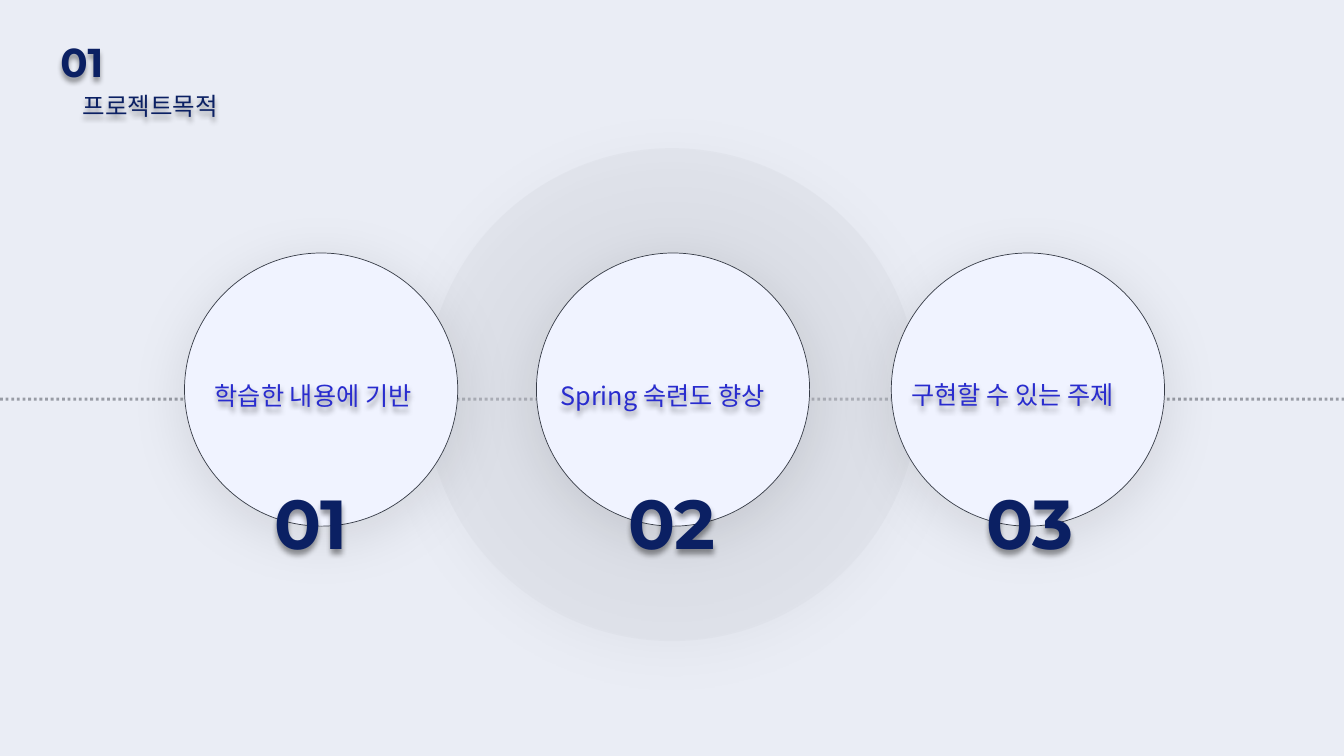
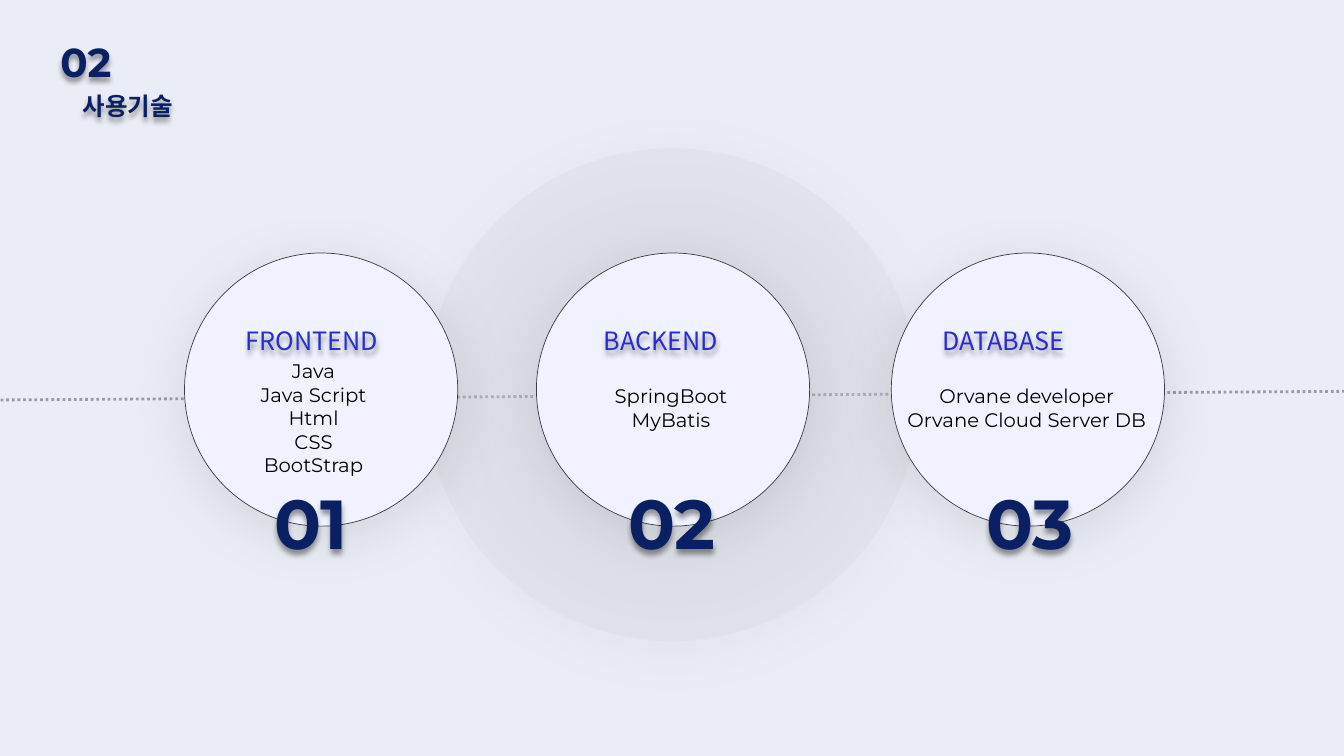
from dataclasses import dataclass
from lxml.etree import SubElement
from pptx import Presentation
from pptx.dml.color import RGBColor
from pptx.enum.dml import MSO_LINE
from pptx.enum.shapes import MSO_CONNECTOR, MSO_SHAPE
from pptx.enum.text import MSO_ANCHOR, MSO_AUTO_SIZE, PP_ALIGN
from pptx.oxml.ns import qn
from pptx.util import Pt


@dataclass(frozen=True)
class Theme:
    background: str = "EAEDF5"
    halo: str = "D8DBE3"
    circle: str = "F0F3FF"
    line: str = "383D48"
    navy: str = "0B2063"
    label: str = "292CCE"
    label_outline: str = "1A59E0"
    title_outline: str = "FFFFFF"
    black: str = "000000"
    latin: str = "Montserrat"
    korean: str = "Noto Sans CJK KR"
    number_size: float = 49.5
    section_size: float = 28.8
    label_size: float = 18
    title_size: float = 17.5
    list_size: float = 14


theme = Theme()
PX = 9144
SLIDE_WIDTH, SLIDE_HEIGHT = 1333, 750


def add_shadow(shape, blur, distance, opacity):
    shape.shadow.inherit = False
    effects = shape.element.spPr.find(qn("a:effectLst"))
    shadow = SubElement(effects, qn("a:outerShdw"), blurRad=str(Pt(blur)), dist=str(Pt(distance)),
                        dir="5400000", algn="ctr", rotWithShape="0")
    colour = SubElement(shadow, qn("a:srgbClr"), val=theme.black)
    SubElement(colour, qn("a:alpha"), val=str(opacity * 1000))


def write_text(page, text, place, size, colour, font=theme.latin, bold=False, anchor=MSO_ANCHOR.BOTTOM,
               align=PP_ALIGN.LEFT, inset=13, outline=None, shadow=True, box=None):
    left, top, width, height = [length * PX for length in place]
    if box is None:
        box = page.shapes.add_textbox(left, top, width, height)
    else:
        box.left, box.top, box.width, box.height = left, top, width, height
        page.shapes.element.append(box.element)
    frame = box.text_frame
    frame.text = text
    frame.word_wrap = True
    frame.auto_size = MSO_AUTO_SIZE.NONE
    frame.vertical_anchor = anchor
    frame.margin_left = frame.margin_right = frame.margin_top = frame.margin_bottom = inset * PX
    for para in frame.paragraphs:
        para.alignment = align
        para.space_before = para.space_after = Pt(0)
        properties = para._p.get_or_add_pPr()
        properties.set("marL", "0")
        properties.set("indent", "0")
        SubElement(properties, qn("a:buNone"))
        for span in para.runs:
            span.font.size = Pt(size)
            span.font.bold = bold
            span.font.name = font
            span.font.color.rgb = RGBColor.from_string(colour)
            run_properties = span.font._element
            for script in ("a:ea", "a:cs"):
                SubElement(run_properties, qn(script), typeface=font)
            if outline:
                stroke = SubElement(run_properties, qn("a:ln"), w=str(Pt(0.75)))
                run_properties.insert(0, stroke)
                fill = SubElement(stroke, qn("a:solidFill"))
                stroke_colour = SubElement(fill, qn("a:srgbClr"), val=outline)
                SubElement(stroke_colour, qn("a:alpha"), val="10000")
    if shadow:
        add_shadow(box, 4, 3, 40)


deck = Presentation()
deck.slide_width, deck.slide_height = SLIDE_WIDTH * PX, SLIDE_HEIGHT * PX
backdrop = deck.slide_master.background.fill
backdrop.solid()
backdrop.fore_color.rgb = RGBColor.from_string(theme.background)
TITLE_ONLY, COMPARISON = deck.slide_layouts[5], deck.slide_layouts[4]

CIRCLE_TOP, CIRCLE_SIZE = 251, 271
CIRCLE_LEFTS = (183, 532, 884)
NUMBER_LEFTS = (259, 610, 965)

pages = [
    dict(layout=TITLE_ONLY, section="01", title="프로젝트목적", bold=False, axis=(0, 396, 1333, 396),
         labels=[("학습한 내용에 기반", (200, 363, 278, 57)),
                 ("Spring 숙련도 향상", (543, 340, 281, 80)),
                 ("구현할 수 있는 주제", (891, 362, 331, 57))],
         lists=[]),
    dict(layout=COMPARISON, section="02", title="사용기술", bold=True, axis=(-33, 397, 1369, 388),
         labels=[("FRONTEND", (231, 309, 278, 57)),
                 ("BACKEND", (586, 309, 185, 57)),
                 ("DATABASE", (922, 309, 189, 57))],
         lists=[("Java\nJava Script\nHtml\nCSS\nBootStrap", (232, 353, 158, 123)),
                ("SpringBoot\nMyBatis", (532, 378, 267, 53)),
                ("Orvane developer\nOrvane Cloud Server DB", (885, 378, 267, 53))]),
]

for content in pages:
    page = deck.slides.add_slide(content["layout"])
    bodies = [holder for holder in page.placeholders if holder.placeholder_format.idx > 0]

    axis = page.shapes.add_connector(MSO_CONNECTOR.STRAIGHT, *[length * PX for length in content["axis"]])
    axis.line.width = Pt(2)
    axis.line.color.rgb = RGBColor.from_string(theme.line)
    axis.line.dash_style = MSO_LINE.ROUND_DOT
    SubElement(next(axis.element.iter(qn("a:srgbClr"))), qn("a:alpha"), val="46000")
    SubElement(axis.element.spPr, qn("a:effectLst"))

    discs = [(422, 147, 489, theme.halo)]
    discs += [(left, CIRCLE_TOP, CIRCLE_SIZE, theme.circle) for left in CIRCLE_LEFTS]
    for left, top, size, colour in discs:
        disc = page.shapes.add_shape(MSO_SHAPE.OVAL, left * PX, top * PX, size * PX, size * PX)
        disc.fill.solid()
        disc.fill.fore_color.rgb = RGBColor.from_string(colour)
        if colour == theme.halo:
            SubElement(next(disc.element.iter(qn("a:srgbClr"))), qn("a:alpha"), val="38000")
            disc.line.fill.background()
        else:
            disc.line.color.rgb = RGBColor.from_string(theme.line)
            disc.line.width = Pt(0.5)
        add_shadow(disc, 41, 7.3, 10)

    write_text(page, content["section"], (47, 23, 113, 75), theme.section_size, theme.navy, bold=True)
    write_text(page, content["title"], (69, 63, 312, 84), theme.title_size, theme.navy, font=theme.korean,
               bold=content["bold"], anchor=MSO_ANCHOR.MIDDLE, outline=theme.title_outline,
               box=page.shapes.title)
    for number, left in enumerate(NUMBER_LEFTS, 1):
        write_text(page, f"{number:02}", (left, 462, 354, 110), theme.number_size, theme.navy, bold=True)
    for text, place in content["labels"]:
        write_text(page, text, place, theme.label_size, theme.label, font=theme.korean,
                   outline=theme.label_outline)
    for (text, place), body in zip(content["lists"], bodies):
        write_text(page, text, place, theme.list_size, theme.black, anchor=MSO_ANCHOR.MIDDLE,
                   align=PP_ALIGN.CENTER, inset=3, shadow=False, box=body)
    for spare in bodies[len(content["lists"]):]:
        page.shapes.element.remove(spare.element)

deck.save("out.pptx")
